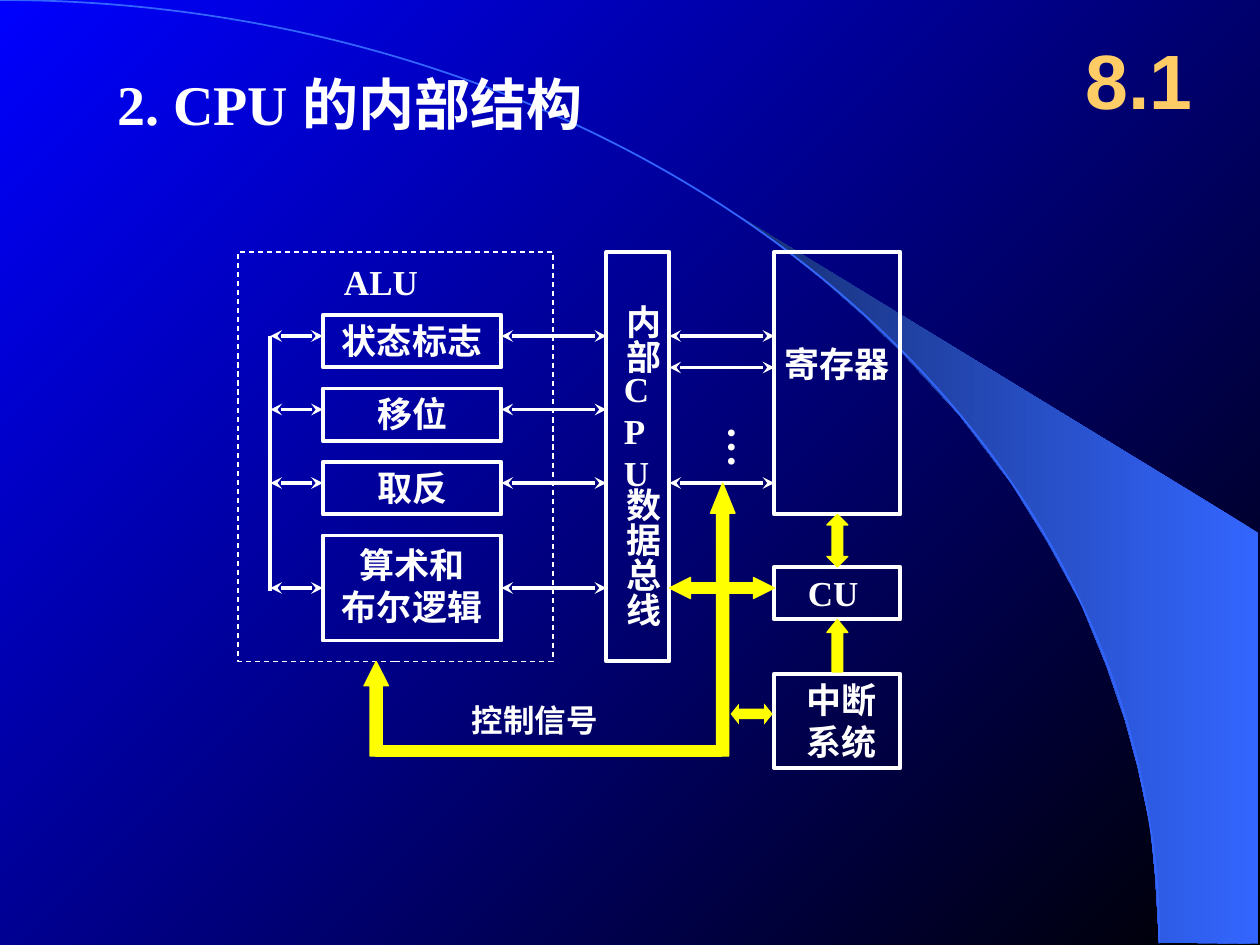
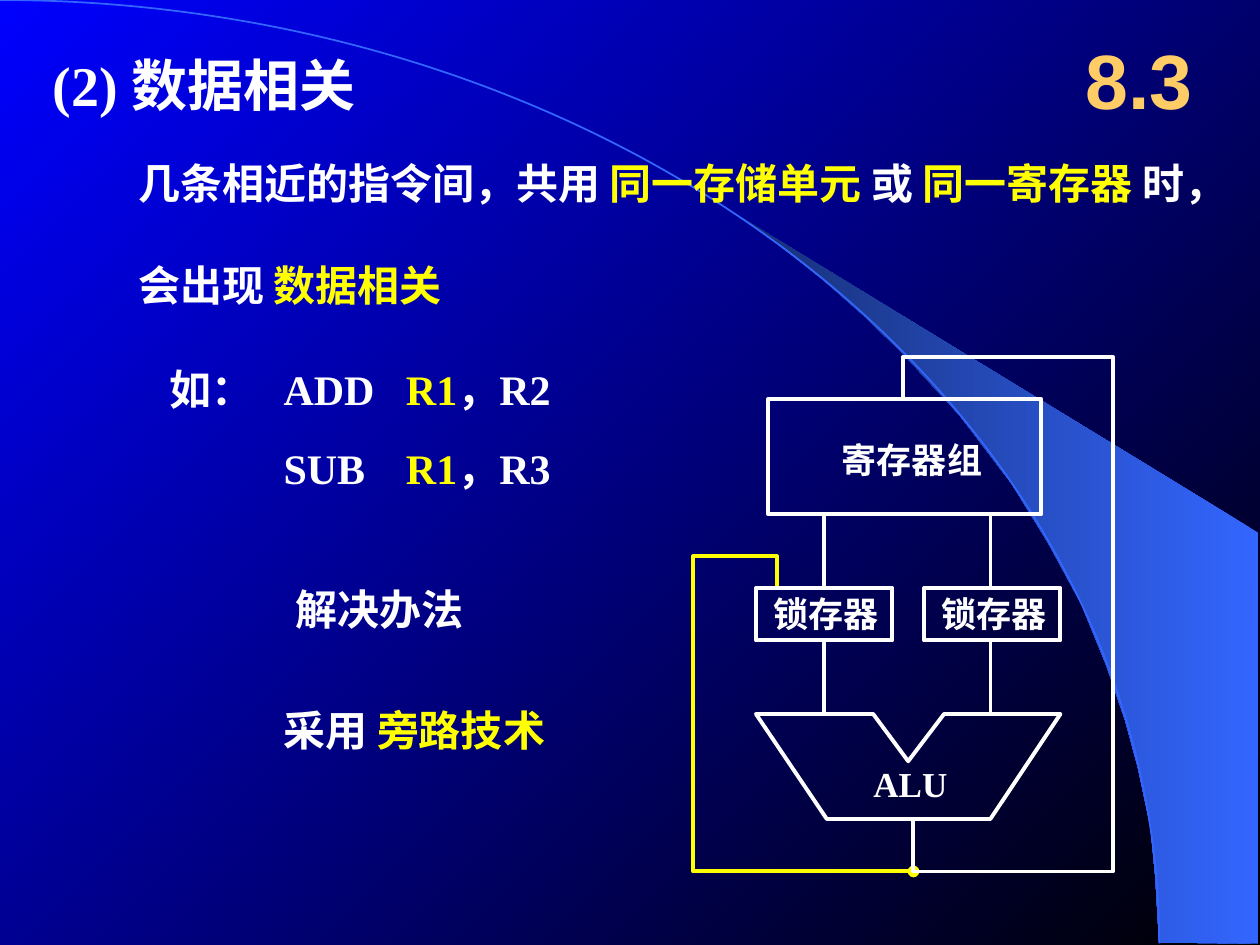
from lxml import etree
from pptx import Presentation
from pptx import util as u
from pptx.dml.color import RGBColor
from pptx.enum import dml, shapes, text
from pptx.oxml.ns import qn

Pt = u.Pt
SHAPE = shapes.MSO_SHAPE
WHITE, YELLOW, GOLD = "FFFFFF", "FFFF00", "FFCC66"
BLACK, BLUE, SKY, NAVY = "000000", "0000FF", "3366FF", "172F75"
SERIF, SANS = "Times New Roman", "Arial"
INSETS = (7.2, 3.6, 7.2, 3.6)
FLUSH = (0, 3.6, 0, 3.6)
UPRIGHT = (3.6, 7.2, 3.6, 7.2)
SWOOSH = [(662.4, 538.6), (719.3, 539.3), (719.3, 304.6), (424.1, 124.6),
          (449.3, 143.3), (470.2, 159.8), (493.2, 180), (515.5, 201.6),
          (548.6, 237.6), (578.2, 276.5), (599, 310.3), (617.8, 344.9),
          (632.2, 380.2), (643, 411.8), (650.2, 438.5), (657.4, 472.3),
          (660.2, 501.1)]


def rgb(hex_code):
    return RGBColor.from_string(hex_code)


def gradient(fill, start, end, angle):
    fill.gradient()
    fill.gradient_angle = angle
    for stop, color in zip(fill.gradient_stops, (start, end)):
        stop.color.rgb = rgb(color)


class Deck:
    """Holds the shared style and the slide being drawn."""

    def __init__(self):
        self.prs = Presentation()
        self.prs.slide_width, self.prs.slide_height = Pt(720), Pt(540)
        gradient(self.prs.slide_master.background.fill, BLACK, BLUE, 135)

    def new_slide(self, section):
        slide = self.prs.slides.add_slide(self.prs.slide_layouts[6])
        self.shapes = slide.shapes
        swoosh = self.outline(SWOOSH, None, closed=True)
        gradient(swoosh.fill, SKY, NAVY, 180)
        self.shape(SHAPE.ARC, -662.4, 0, 1324.8, 1078, line=SKY, weight=1)
        self.label([section], 606, 12, 90, 66, size=44, color=GOLD, font=SANS,
                   middle=True, align=text.PP_ALIGN.CENTER)

    def paint(self, item, fill, line, weight):
        item.shadow.inherit = False
        if fill:
            item.fill.solid()
            item.fill.fore_color.rgb = rgb(fill)
        else:
            item.fill.background()
        if line:
            item.line.color.rgb = rgb(line)
            item.line.width = Pt(weight)
        else:
            item.line.fill.background()
        return item

    def shape(self, kind, x, y, w, h, fill=None, line=WHITE, weight=2.25, adj=()):
        item = self.shapes.add_shape(kind, Pt(x), Pt(y), Pt(w), Pt(h))
        for index, value in enumerate(adj):
            item.adjustments[index] = value
        return self.paint(item, fill, line, weight)

    def frame(self, x, y, w, h):
        return self.shape(SHAPE.RECTANGLE, x, y, w, h)

    def signal(self, kind, x, y, w, h, *adj, line=YELLOW):
        """Solid yellow block arrow or bar."""
        self.shape(kind, x, y, w, h, YELLOW, line, 0.75, adj)

    def outline(self, points, line=WHITE, closed=False):
        corners = [(Pt(x), Pt(y)) for x, y in points]
        builder = self.shapes.build_freeform(*corners[0])
        builder.add_line_segments(corners[1:], close=closed)
        return self.paint(builder.convert_to_shape(), None, line, 2.25)

    def end_marks(self, item, head=None, tail=None):
        ln = item._element.spPr.get_or_add_ln()
        for tag, mark in (("a:headEnd", head), ("a:tailEnd", tail)):
            if mark:
                etree.SubElement(ln, qn(tag)).set("type", mark)

    def wire(self, x1, y1, x2, y2, arrows=False):
        item = self.shapes.add_connector(shapes.MSO_CONNECTOR.STRAIGHT,
                                         Pt(x1), Pt(y1), Pt(x2), Pt(y2))
        item.line.color.rgb = rgb(WHITE)
        item.line.width = Pt(2.25)
        if arrows:
            self.end_marks(item, "stealth", "stealth")
        etree.SubElement(item._element.spPr, qn("a:effectLst"))

    def label(self, lines, x, y, w, h, size=20, color=WHITE, font=SERIF,
              insets=INSETS, middle=False, upright=False, align=None, tab=None):
        """Text box; parts of a line between asterisks are yellow."""
        body = self.shapes.add_textbox(Pt(x), Pt(y), Pt(w), Pt(h)).text_frame
        body.word_wrap = True
        (body.margin_left, body.margin_top,
         body.margin_right, body.margin_bottom) = map(Pt, insets)
        if middle:
            body.vertical_anchor = text.MSO_ANCHOR.MIDDLE
        if upright:
            body._txBody.bodyPr.set("vert", "eaVert")
        for number, line in enumerate(lines):
            para = body.add_paragraph() if number else body.paragraphs[0]
            para.alignment = align
            if tab:
                stops = etree.SubElement(para._p.get_or_add_pPr(), qn("a:tabLst"))
                stop = etree.SubElement(stops, qn("a:tab"))
                stop.set("pos", str(Pt(tab)))
                stop.set("algn", "l")
            para.font.size, para.font.bold = Pt(size), True
            para.font.name = font
            para.font.color.rgb = rgb(color)
            for part, words in enumerate(line.split("*")):
                if words:
                    run = para.add_run()
                    run.text = words
                    if part % 2:
                        run.font.color.rgb = rgb(YELLOW)
        return body


def cpu_structure(deck):
    deck.new_slide("8.1")
    deck.label(["2. CPU 的内部结构"], 60, 36, 366, 46, size=32)

    rail, unit, unit_end, bus, bus_end, right = 154.5, 184.5, 286.5, 346.5, 382.5, 442.5

    # ALU units, each wired to the rail and to the bus
    units = [(["状态标志"], 180, 30, 192), (["移位"], 222, 30, 234),
             (["取反"], 264, 30, 276), (["算术和", "布尔逻辑"], 306, 60, 336)]
    for name, top, height, wire_y in units:
        deck.frame(unit, top, 102, height)
        deck.label(name, unit, top + (1 if len(name) > 1 else -1), 102,
                   24 * len(name) + 7.2, align=text.PP_ALIGN.CENTER)
        deck.wire(unit_end, wire_y, bus, wire_y, arrows=True)
        deck.wire(rail, wire_y, unit, wire_y, arrows=True)
    deck.wire(rail, 192, rail, 338)
    alu = deck.shape(SHAPE.RECTANGLE, 136, 144, 180, 234, weight=0.75)
    alu.line.dash_style = dml.MSO_LINE.DASH
    deck.label(["ALU"], 189.5, 145.5, 66, 32)

    # Internal data bus
    deck.frame(bus, 144, 36, 234)
    for words, top, height in (("内部", 174, 46), ("数据总线", 278.5, 88)):
        deck.label([words], 345, top, 38, height, insets=(3.6, 0, 3.6, 0),
                   upright=True)
    deck.label(["C", "P", "U"], 349.5, 206.5, 33, 79)
    for wire_y in (192, 210, 276):
        deck.wire(bus_end, wire_y, right, wire_y, arrows=True)
    deck.label(["…"], 401, 236.5, 43, 54, size=24, insets=UPRIGHT, upright=True)

    # Registers, control unit, interrupt system
    blocks = [(["寄存器"], 144, 150, 441, 192, 84),
              (["CU"], 324, 30, 454.5, 323, 54),
              (["中断", "系统"], 385, 54, 453.5, 384, 62)]
    for name, top, height, x, y, width in blocks:
        deck.frame(right, top, 72, height)
        deck.label(name, x, y, width, 24 * len(name) + 7.2)

    # Control signals
    deck.signal(SHAPE.LEFT_RIGHT_ARROW, bus_end, 330, 60, 12, 0.5, 1)
    deck.signal(SHAPE.UP_ARROW, 472.5, 354, 12, 30, 0.5, 0.62)
    deck.signal(SHAPE.UP_ARROW, 406, 276, 14, 156, 0.5, 1.23)
    deck.signal(SHAPE.UP_ARROW, 208, 378, 14, 54, 0.5, 0.99)
    deck.signal(SHAPE.RECTANGLE, 214.5, 426, 198, 6)
    deck.signal(SHAPE.LEFT_RIGHT_ARROW, 417.5, 402, 24, 12, 0.5, 0.4, line=None)
    deck.signal(SHAPE.UP_DOWN_ARROW, 472.5, 294, 12, 30, 0.5, 0.5)
    deck.label(["控制信号"], 262.5, 397, 98, 29, size=18)


def data_hazard(deck):
    deck.new_slide("8.3")
    deck.label(["(2) 数据相关"], 30, 18, 426, 60, size=32, insets=FLUSH, middle=True)

    # Definition and example
    definition = deck.label(
        ["几条相近的指令间，共用 *同一存储单元 *或 *同一寄存器 *时，",
         "会出现 *数据相关*"], 72, 86.5, 648, 94, size=24)
    definition.paragraphs[1].space_before = Pt(15)
    definition.paragraphs[1].line_spacing = 1.5
    deck.label(["如："], 90, 204, 96, 36, size=24)
    for code, top, height in (("ADD\t*R1*，R2", 204, 36), ("SUB\t*R1*，R3", 246, 42)):
        deck.label([code], 162, top, 240, height, size=24, insets=FLUSH,
                   middle=True, tab=70)

    # Remedy
    deck.label(["解决办法"], 162, 330, 144, 36, size=24)
    deck.label(["采用 *旁路技术*"], 162, 396, 246, 42, size=24, insets=FLUSH, middle=True)

    # Bypass path
    bypass = deck.outline([(522, 498), (396, 498), (396, 318), (444, 318), (444, 336)],
                          YELLOW)
    deck.end_marks(bypass, head="oval")

    # Register file, latches and ALU
    deck.frame(439, 228, 156, 66)
    deck.label(["寄存器组"], 474, 247, 102, 32)
    for latch, wire_x in ((432, 471), (528, 566)):
        deck.frame(latch, 336, 78, 30)
        deck.label(["锁存器"], latch + 10, 338.5, 78, 28, insets=(0, 0, 7.2, 3.6))
        deck.wire(wire_x, 294, wire_x, 336)
        deck.wire(wire_x, 366, wire_x, 408)
    deck.outline([(432, 408), (499, 408), (519, 435), (539.5, 408), (606, 408),
                  (566, 468), (472.5, 468)], closed=True)
    deck.label(["ALU"], 492, 432, 96, 32)

    # Result written back to the registers
    deck.outline([(516, 228), (516, 204), (636, 204), (636, 498), (522, 498), (522, 468)])


def main():
    deck = Deck()
    cpu_structure(deck)
    data_hazard(deck)
    deck.prs.save("out.pptx")


if __name__ == "__main__":
    main()
